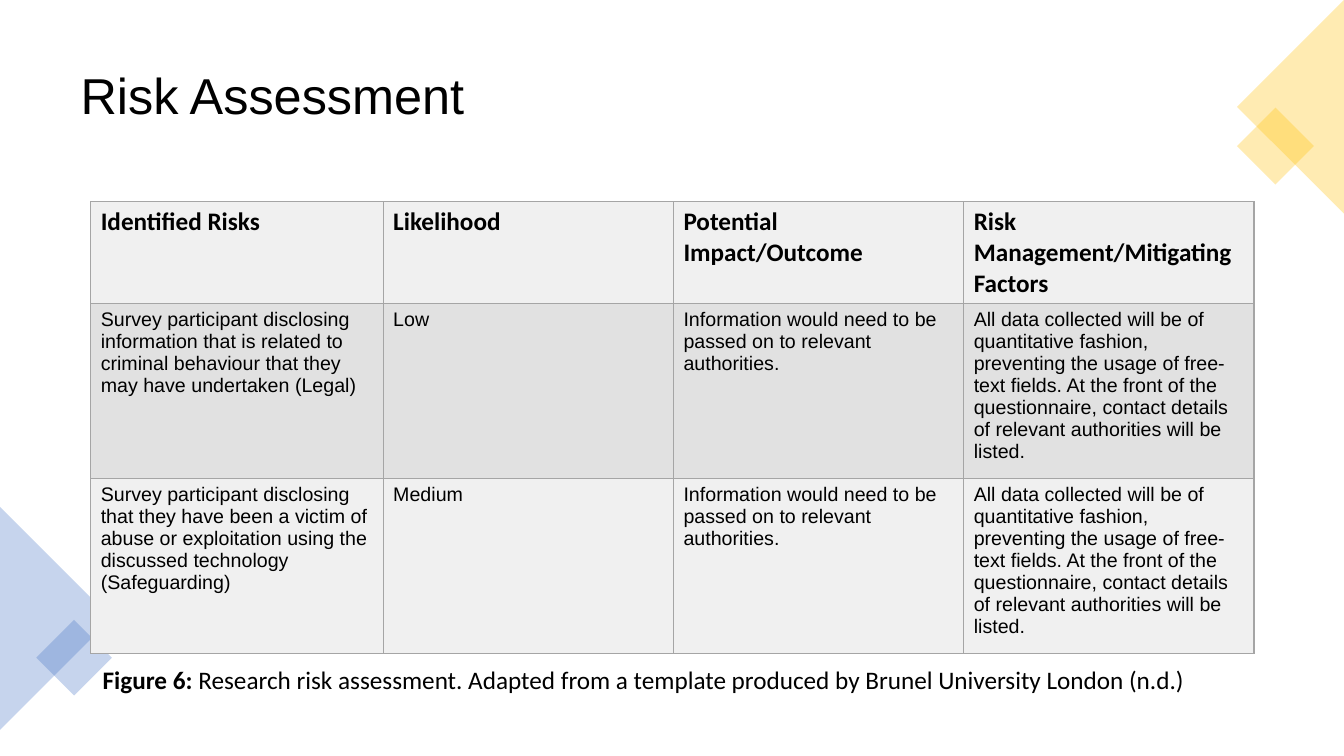
from dataclasses import dataclass

from lxml.etree import SubElement
from pptx import Presentation
from pptx.dml.color import RGBColor
from pptx.enum.shapes import MSO_SHAPE as Shape
from pptx.enum.text import MSO_ANCHOR as Anchor
from pptx.oxml import parse_xml
from pptx.oxml.ns import nsdecls, qn
from pptx.util import Inches, Pt

SLIDE_WIDTH, SLIDE_HEIGHT = Inches(13.33), Inches(7.5)


@dataclass(frozen=True)
class Theme:
    ink: str = "000000"
    blue: str = "4472C4"
    gold: str = "FFC000"
    border: str = "A5A5A5"
    light_band: str = "F0F0F0"
    dark_band: str = "E1E1E1"
    opacity: int = 30
    body_font: str = "Arial"
    label_font: str = "Calibri"
    title_size: int = 36
    label_size: int = 18
    body_size: int = 14


THEME = Theme()

COLUMN_SHARES = (21.76, 21.6, 21.6, 21.6)
ROW_SHARES = (13.5, 21.73, 21.73)
IMPACT = "Information would need to be passed on to relevant authorities."
MITIGATION = (
    "All data collected will be of quantitative fashion, preventing the usage "
    "of free-text fields. At the front of the questionnaire, contact details "
    "of relevant authorities will be listed."
)
RISKS = (
    ("Identified Risks", "Likelihood", "Potential Impact/Outcome",
     "Risk Management/Mitigating Factors"),
    ("Survey participant disclosing information that is related to criminal "
     "behaviour that they may have undertaken (Legal)",
     "Low", IMPACT, MITIGATION),
    ("Survey participant disclosing that they have been a victim of abuse or "
     "exploitation using the discussed technology (Safeguarding)",
     "Medium", IMPACT, MITIGATION),
)


def across(percent):
    return round(SLIDE_WIDTH * percent / 100)


def down(percent):
    return round(SLIDE_HEIGHT * percent / 100)


def style_font(font, name, size, bold=False):
    font.name, font.size, font.bold = name, Pt(size), bold
    font.color.rgb = RGBColor.from_string(THEME.ink)


def add_text_box(slide, left, top, width, height):
    box = slide.shapes.add_textbox(
        across(left), down(top), across(width), down(height))
    box.text_frame.word_wrap = True
    return box.text_frame


def add_ornament(slide, kind, center, width, height, rotation, color):
    """Place a translucent shape by its center; both sizes are shares of the slide height."""
    wide, high = down(width), down(height)
    ornament = slide.shapes.add_shape(
        kind, across(center[0]) - wide // 2, down(center[1]) - high // 2, wide, high)
    ornament.rotation = rotation
    ornament.shadow.inherit = False
    ornament.line.fill.background()
    ornament.fill.solid()
    ornament.fill.fore_color.rgb = RGBColor.from_string(color)
    tint = ornament._element.spPr.find(qn("a:solidFill"))[0]
    SubElement(tint, qn("a:alpha")).set("val", str(THEME.opacity * 1000))


def add_corner(slide, color, triangle_center, triangle_base, rotation,
               square_center, square_side):
    add_ornament(slide, Shape.ISOSCELES_TRIANGLE, triangle_center,
                 triangle_base, triangle_base / 2, rotation, color)
    add_ornament(slide, Shape.RECTANGLE, square_center,
                 square_side, square_side, 45, color)


def add_title(slide, title):
    frame = add_text_box(slide, 5.25, 4.67, 89.5, 16.53)
    frame.vertical_anchor = Anchor.MIDDLE
    heading = frame.paragraphs[0]
    heading.text = title
    heading.line_spacing = 0.9
    style_font(heading.font, THEME.body_font, THEME.title_size)


def outline_cell(cell):
    properties = cell._tc.get_or_add_tcPr()
    for position, side in enumerate(("lnL", "lnR", "lnT", "lnB")):
        properties.insert(position, parse_xml(
            f'<a:{side} {nsdecls("a")} w="{Pt(1)}"><a:solidFill>'
            f'<a:srgbClr val="{THEME.border}"/></a:solidFill></a:{side}>'))


def add_risk_table(slide):
    table = slide.shapes.add_table(
        len(ROW_SHARES), len(COLUMN_SHARES), across(6.75), down(26.67),
        across(sum(COLUMN_SHARES)), down(sum(ROW_SHARES))).table
    table.first_row = table.horz_banding = False
    for column, share in zip(table.columns, COLUMN_SHARES):
        column.width = across(share)
    for row, share in zip(table.rows, ROW_SHARES):
        row.height = down(share)
    for row_number, entries in enumerate(RISKS):
        band = THEME.dark_band if row_number % 2 else THEME.light_band
        for column_number, entry in enumerate(entries):
            cell = table.cell(row_number, column_number)
            cell.text = entry
            cell.fill.solid()
            cell.fill.fore_color.rgb = RGBColor.from_string(band)
            outline_cell(cell)
            font = cell.text_frame.paragraphs[0].font
            if row_number == 0:
                style_font(font, THEME.label_font, THEME.label_size, bold=True)
            else:
                style_font(font, THEME.body_font, THEME.body_size)


def add_caption(slide, label, description):
    caption = add_text_box(slide, 6.9, 87.2, 86.27, 5.33).paragraphs[0]
    style_font(caption.font, THEME.label_font, THEME.label_size)
    for words, bold in ((label, True), (description, False)):
        run = caption.add_run()
        run.text = words
        run.font.bold = bold


def main():
    deck = Presentation()
    deck.slide_width, deck.slide_height = SLIDE_WIDTH, SLIDE_HEIGHT
    slide = deck.slides.add_slide(deck.slide_layouts[6])
    add_title(slide, "Risk Assessment")
    add_corner(slide, THEME.blue, (4.16, 81.8), 29.47, 90, (5.51, 87), 7.07)
    add_corner(slide, THEME.gold, (96.02, 14.13), 28.27, 270, (94.9, 19.33), 7.2)
    add_risk_table(slide)
    add_caption(slide, "Figure 6: ",
                "Research risk assessment. Adapted from a template produced by "
                "Brunel University London (n.d.)")
    deck.save("out.pptx")


if __name__ == "__main__":
    main()
